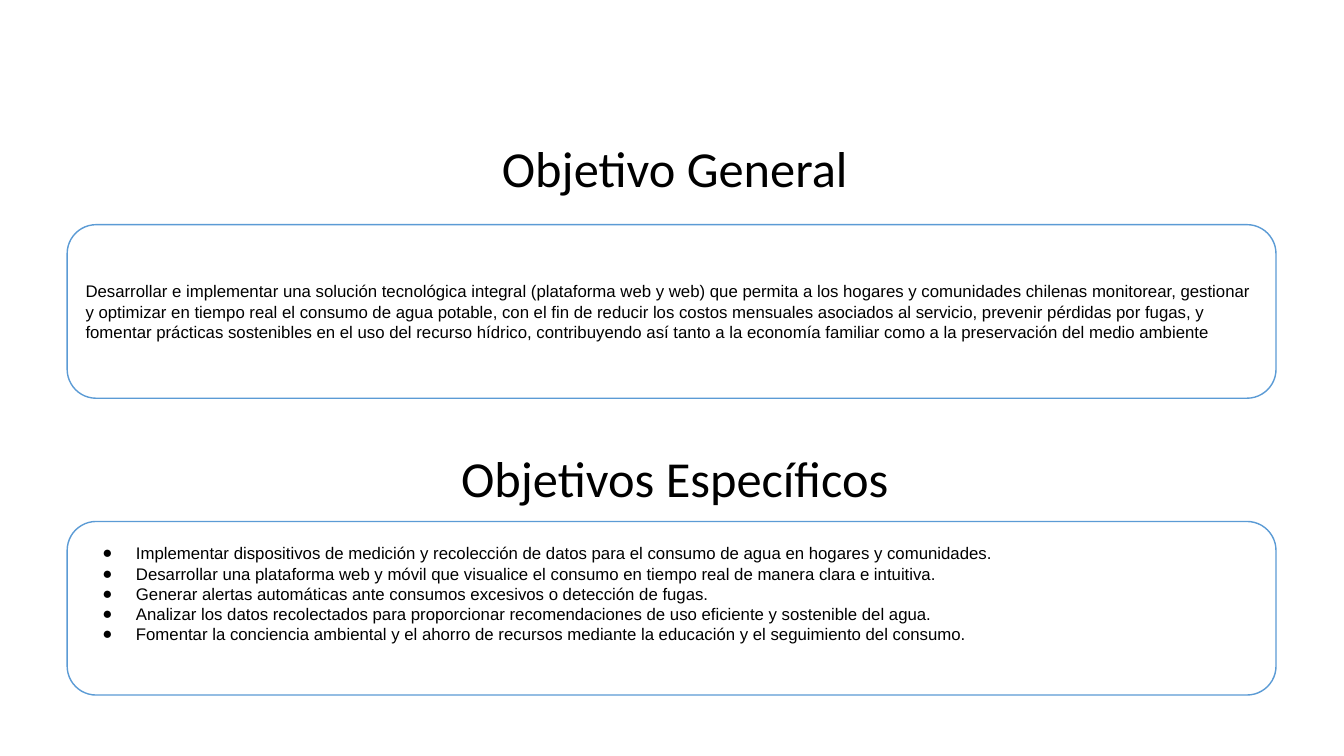
"""Builds a slide with the general and specific objectives of a water project."""
from lxml import etree
from pptx import Presentation
from pptx.dml.color import RGBColor
from pptx.enum.shapes import MSO_SHAPE
from pptx.enum.text import MSO_ANCHOR, PP_ALIGN
from pptx.oxml.ns import qn
from pptx.util import Pt

ROUND = MSO_SHAPE.ROUNDED_RECTANGLE
MIDDLE = MSO_ANCHOR.MIDDLE
LEFT, CENTER = PP_ALIGN.LEFT, PP_ALIGN.CENTER

GENERAL = [
    "Desarrollar e implementar una solución tecnológica integral (plataforma web y web) "
    "que permita a los hogares y comunidades chilenas monitorear, gestionar y optimizar "
    "en tiempo real el consumo de agua potable, con el fin de reducir los costos mensuales "
    "asociados al servicio, prevenir pérdidas por fugas, y fomentar prácticas sostenibles "
    "en el uso del recurso hídrico, contribuyendo así tanto a la economía familiar como a "
    "la preservación del medio ambiente",
]
GOALS = [
    "Implementar dispositivos de medición y recolección de datos para el consumo de agua "
    "en hogares y comunidades.",
    "Desarrollar una plataforma web y móvil que visualice el consumo en tiempo real de "
    "manera clara e intuitiva.",
    "Generar alertas automáticas ante consumos excesivos o detección de fugas.",
    "Analizar los datos recolectados para proporcionar recomendaciones de uso eficiente y "
    "sostenible del agua.",
    "Fomentar la conciencia ambiental y el ahorro de recursos mediante la educación y el "
    "seguimiento del consumo.",
]


def color(code):
    return RGBColor.from_string(code)


class Deck:
    """Holds the style and the current slide."""

    ink, paper, edge = "000000", "FFFFFF", "5B9BD5"
    head, body = "Calibri", "Arial"

    def __init__(self):
        self.show = Presentation()
        self.show.slide_width, self.show.slide_height = Pt(960), Pt(540)
        self.slide = self.show.slides.add_slide(self.show.slide_layouts[6])

    def label(self, para, text, font, size, align):
        para.text = text
        para.alignment = align
        para.font.name, para.font.size = font, Pt(size)
        para.font.color.rgb = color(self.ink)

    def bullet(self, para):
        props = para._p.get_or_add_pPr()
        props.set("marL", str(Pt(36)))
        props.set("indent", str(Pt(-24)))
        tint = etree.Element(qn("a:buClr"))
        etree.SubElement(tint, qn("a:srgbClr"), val=self.ink)
        face = etree.Element(qn("a:buFont"), typeface=self.body)
        mark = etree.Element(qn("a:buChar"), char="●")
        for at, item in enumerate((tint, face, mark)):
            props.insert(at, item)

    def title(self, top, text):
        box = self.slide.shapes.add_textbox(Pt(12), Pt(top), Pt(940), Pt(51))
        box.text_frame.word_wrap = True
        self.label(box.text_frame.paragraphs[0], text, self.head, 36, CENTER)

    def panel(self, top, lines, marked=False, bottom=3.6):
        box = self.slide.shapes.add_shape(ROUND, Pt(48), Pt(top), Pt(863.5), Pt(124))
        box.shadow.inherit = False
        box.fill.solid()
        box.fill.fore_color.rgb = color(self.paper)
        box.line.color.rgb = color(self.edge)
        box.line.width = Pt(1)
        frame = box.text_frame
        frame.word_wrap = True
        frame.vertical_anchor = MIDDLE
        frame.margin_bottom = Pt(bottom)
        for at, text in enumerate(lines):
            para = frame.add_paragraph() if at else frame.paragraphs[0]
            self.label(para, text, self.body, 12, LEFT)
            if marked:
                self.bullet(para)


def main():
    deck = Deck()
    deck.panel(160.5, GENERAL)
    deck.panel(372.5, GOALS, marked=True, bottom=24.6)
    deck.title(94.5, "Objetivo General")
    deck.title(316, "Objetivos Específicos")
    deck.show.save("out.pptx")


if __name__ == "__main__":
    main()
